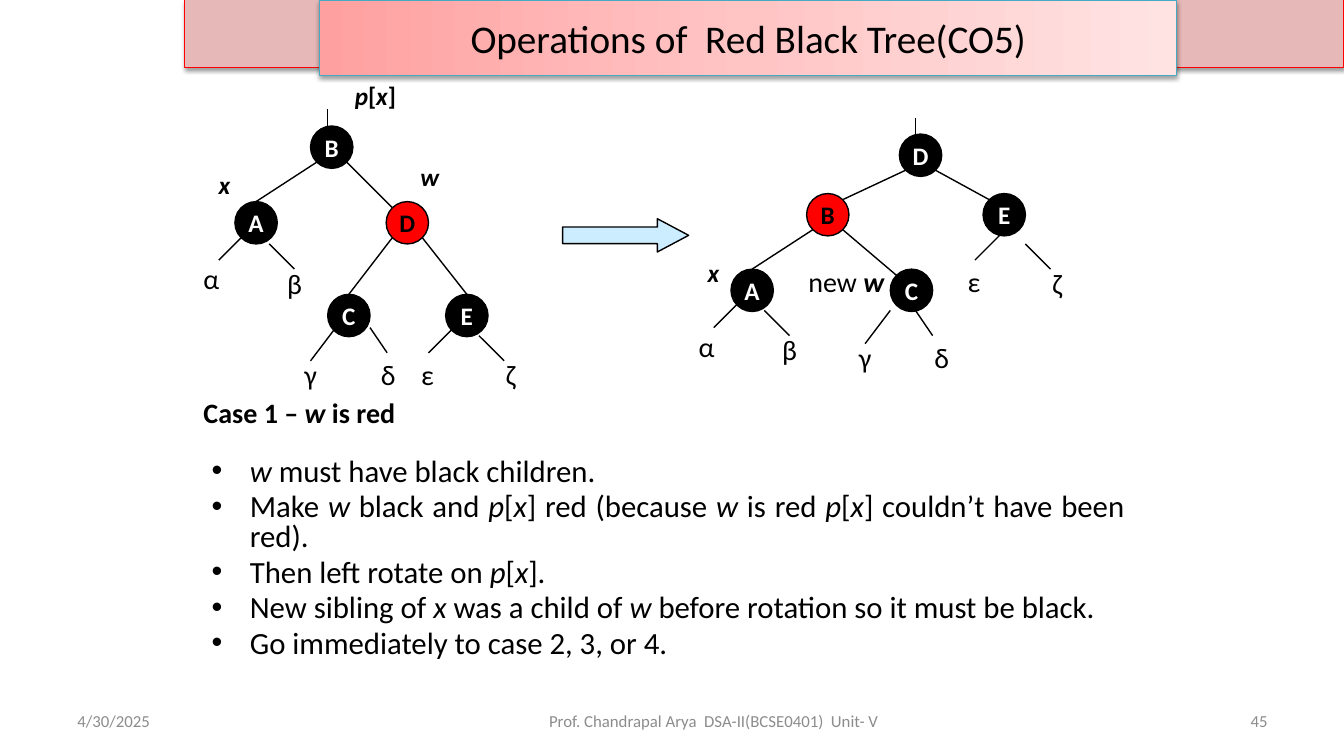
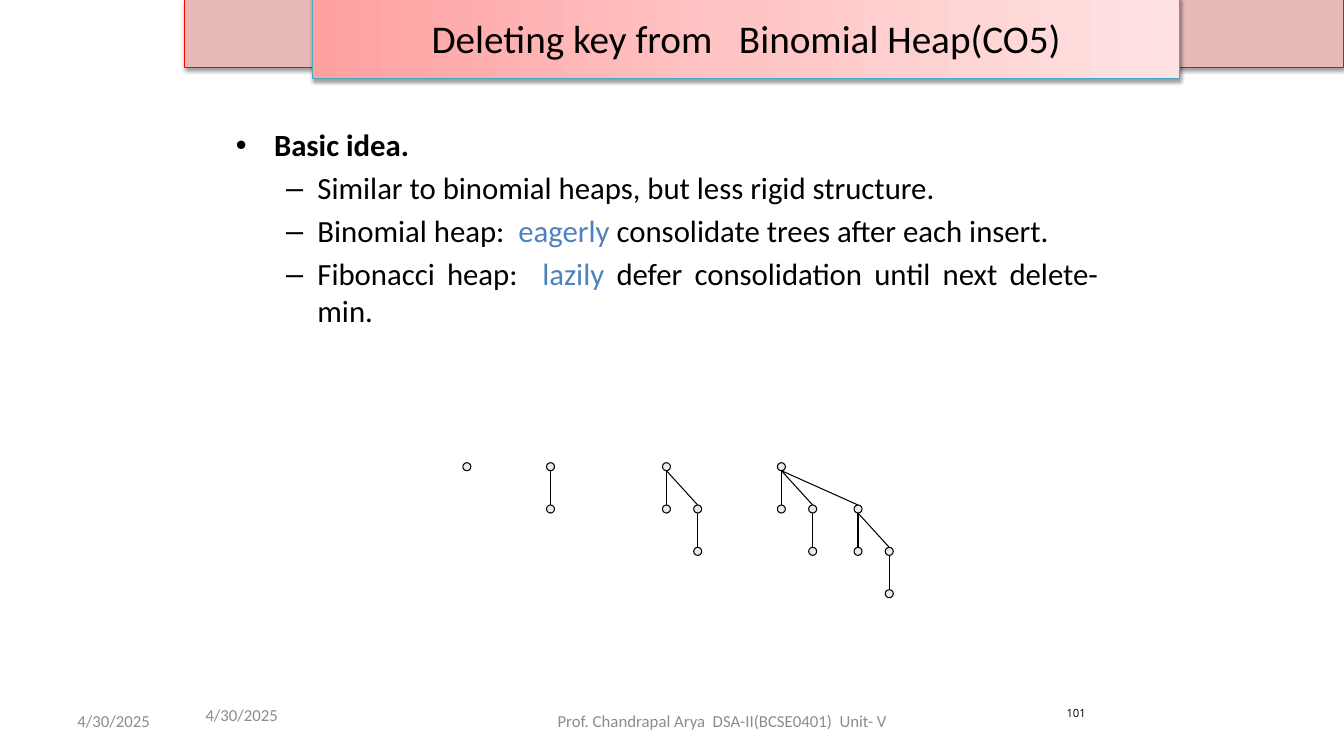
from copy import deepcopy

from lxml.etree import SubElement
from pptx import Presentation
from pptx.dml.color import RGBColor
from pptx.enum.shapes import MSO_CONNECTOR, MSO_SHAPE
from pptx.enum.text import MSO_ANCHOR, MSO_AUTO_SIZE, PP_ALIGN
from pptx.oxml.ns import qn
from pptx.util import Inches, Pt

BLACK = RGBColor(0x00, 0x00, 0x00)
WHITE = RGBColor(0xFF, 0xFF, 0xFF)
RED = RGBColor(0xFF, 0x00, 0x00)
ROSE = RGBColor(0xE6, 0xB9, 0xB8)
TEAL = RGBColor(0x46, 0xAA, 0xC5)
BLUE = RGBColor(0x4F, 0x81, 0xBD)
SKY = RGBColor(0xCC, 0xEC, 0xFF)
CREAM = RGBColor(0xEE, 0xEC, 0xE1)
GREY = RGBColor(0x8C, 0x8C, 0x8C)
FADE = (
    (0, RGBColor(0xFF, 0xA0, 0xA0)),
    (0.5, RGBColor(0xFF, 0xC5, 0xC5)),
    (1, RGBColor(0xFF, 0xE3, 0xE3)),
)

FONT = "Calibri"
DATE = "4/30/2025"
CREDIT = "Prof. Chandrapal Arya  DSA-II(BCSE0401)  Unit- V"
ITALIC = {"italic": True}
STRONG = {"italic": True, "bold": True}

NODE = 0.42
HALF = NODE / 2
EDGE = 0.15
DOT = 0.08
DROP = 0.42
SPREAD = (0, 0.31, 0.76)

LEAVES = {
    "α": (-0.25, 0.25, -0.25, -0.03),
    "β": (0.25, 0.25, -0.17, -0.08),
    "γ": (-0.25, 0.33, -0.16, -0.08),
    "δ": (0.17, 0.25, -0.16, 0),
    "ε": (-0.25, 0.25, -0.17, 0),
    "ζ": (0.25, 0.25, -0.08, -0.08),
}


def write(par, text, size=18, color=BLACK, font=FONT, align=PP_ALIGN.LEFT,
          bold=False, mark=ITALIC):
    par.alignment = align
    for at, part in enumerate(text.split("*")):
        if not part:
            continue
        look = {"bold": bold, "italic": False, "color": color}
        if at % 2:
            look.update(mark)
        run = par.add_run()
        run.text = part
        run.font.name = font
        run.font.size = Pt(size)
        run.font.bold = look["bold"]
        run.font.italic = look["italic"]
        run.font.color.rgb = look["color"]


def add_box(slide, x, y, w, h, wrap=True, anchor=MSO_ANCHOR.TOP):
    box = slide.shapes.add_textbox(Inches(x), Inches(y), Inches(w), Inches(h))
    box.text_frame.word_wrap = wrap
    box.text_frame.vertical_anchor = anchor
    return box.text_frame


def add_label(slide, x, y, w, text, **look):
    frame = add_box(slide, x, y, w, 0.4, wrap=False)
    write(frame.paragraphs[0], text, **look)


def add_note(slide, x, y, w, text, size=12, color=GREY, **look):
    frame = add_box(slide, x, y, w, 0.4, anchor=MSO_ANCHOR.MIDDLE)
    write(frame.paragraphs[0], text, size=size, color=color, **look)


def add_form(slide, kind, x, y, w, h, fill, line=BLACK, width=1):
    form = slide.shapes.add_shape(
        kind, Inches(x), Inches(y), Inches(w), Inches(h))
    form.shadow.inherit = False
    form.fill.solid()
    form.fill.fore_color.rgb = fill
    form.line.color.rgb = line
    form.line.width = Pt(width)
    return form


def add_line(slide, start, end, width=1):
    link = slide.shapes.add_connector(
        MSO_CONNECTOR.STRAIGHT, *(Inches(v) for v in (*start, *end)))
    link.line.color.rgb = BLACK
    link.line.width = Pt(width)
    SubElement(link.element.spPr, qn("a:effectLst"))


def add_shade(form):
    form.shadow.inherit = False
    effect = form.element.spPr.find(qn("a:effectLst"))
    shade = SubElement(effect, qn("a:outerShdw"), blurRad="40000",
                       dist="20000", dir="5400000", rotWithShape="0")
    tint = SubElement(shade, qn("a:srgbClr"), val=str(BLACK))
    SubElement(tint, qn("a:alpha"), val="38000")


def add_fade(form):
    form.fill.gradient()
    form.fill.gradient_angle = 0
    stops = form.element.spPr.find(qn("a:gradFill")).find(qn("a:gsLst"))
    stops.insert(1, deepcopy(stops[0]))
    for stop, (place, color) in zip(form.fill.gradient_stops, FADE):
        stop.position = place
        stop.color.rgb = color


def add_page(deck, text, x, y, w, h):
    slide = deck.slides.add_slide(deck.slide_layouts[5])
    band = add_form(slide, MSO_SHAPE.RECTANGLE, 1.83, 0, 11.5, 0.67,
                    ROSE, RED, 0.75)
    add_shade(band)
    slide.shapes.element.insert(2, band.element)
    title = slide.shapes.title
    title.left, title.top = Inches(x), Inches(y)
    title.width, title.height = Inches(w), Inches(h)
    add_fade(title)
    title.line.color.rgb = TEAL
    title.line.width = Pt(0.75)
    add_shade(title)
    frame = title.text_frame
    frame.auto_size = MSO_AUTO_SIZE.NONE
    frame.vertical_anchor = MSO_ANCHOR.MIDDLE
    write(frame.paragraphs[0], text, size=28, align=PP_ALIGN.CENTER)
    add_note(slide, 0.67, 6.95, 3.11, DATE)
    return slide


def add_list(frame, items, space=1.0, mark=ITALIC):
    for at, (level, text, bold) in enumerate(items):
        par = frame.add_paragraph() if at else frame.paragraphs[0]
        par.level = level
        par.line_spacing = space
        par.space_before = Pt(4.4 if at else 0)
        left, hang, sign = ((0.38, 0.38, "•"), (0.81, 0.31, "–"))[level]
        props = par.element.get_or_add_pPr() if hasattr(par, "element") \
            else par._p.get_or_add_pPr()
        props.set("marL", str(Inches(left)))
        props.set("indent", str(-Inches(hang)))
        SubElement(props, qn("a:buFont"), typeface="Arial")
        SubElement(props, qn("a:buChar"), char=sign)
        write(par, text, size=22, bold=bold, mark=mark,
              align=PP_ALIGN.JUSTIFY)


def add_node(slide, name, x, y, fill):
    form = add_form(slide, MSO_SHAPE.OVAL, x - HALF, y - HALF,
                    NODE, NODE, fill)
    frame = form.text_frame
    frame.word_wrap = False
    frame.vertical_anchor = MSO_ANCHOR.MIDDLE
    write(frame.paragraphs[0], name, bold=True, align=PP_ALIGN.CENTER,
          color=BLACK if fill == RED else WHITE)


def add_tree(slide, nodes, edges, leaves, stem):
    add_line(slide, stem, (stem[0], stem[1] + 0.17))
    for top, low, corner in edges:
        x, y, _ = nodes[top]
        end_x, end_y, _ = nodes[low]
        side = EDGE if end_x > x else -EDGE
        end = (end_x - side, end_y - EDGE) if corner else (end_x, end_y - HALF)
        add_line(slide, (x + side, y + EDGE), end)
    for name, x, y, shift in leaves:
        run, fall, left, up = LEAVES[name]
        end = (x + run, y + fall)
        add_line(slide, (x, y), end)
        add_label(slide, end[0] + left + shift, end[1] + up, 0.34, name,
                  size=20)
    for name, (x, y, fill) in nodes.items():
        add_node(slide, name, x, y, fill)


def add_heap(slide, x, y, order):
    half = DOT / 2
    for rank in range(order):
        low_x, low_y = x + SPREAD[rank], y + DROP
        add_line(slide, (x, y + half), (low_x, low_y - half), 0.75)
        add_heap(slide, low_x, low_y, rank)
    add_form(slide, MSO_SHAPE.OVAL, x - half, y - half, DOT, DOT,
             CREAM, width=0.75)


def add_case(deck):
    slide = add_page(deck, "Operations of  Red Black Tree(CO5)",
                     3.17, 0, 8.5, 0.75)
    add_tree(
        slide,
        {"B": (3.29, 1.46, BLACK), "A": (2.54, 2.21, BLACK),
         "D": (4.04, 2.21, RED), "C": (3.46, 3.13, BLACK),
         "E": (4.63, 3.13, BLACK)},
        [("B", "A", False), ("B", "D", True),
         ("D", "C", False), ("D", "E", False)],
        [("α", 2.42, 2.33, 0), ("β", 2.67, 2.42, 0), ("γ", 3.33, 3.25, 0),
         ("δ", 3.67, 3.25, 0), ("ε", 4.5, 3.25, 0), ("ζ", 4.75, 3.33, 0)],
        (3.25, 1.08))
    add_tree(
        slide,
        {"D": (9.13, 1.54, BLACK), "B": (8.21, 2.13, RED),
         "E": (9.96, 2.13, BLACK), "A": (7.46, 2.88, BLACK),
         "C": (9.04, 2.88, BLACK)},
        [("D", "B", True), ("D", "E", True),
         ("B", "A", False), ("B", "C", True)],
        [("α", 7.33, 3, 0), ("β", 7.58, 3.08, 0), ("γ", 8.83, 3.08, 0),
         ("δ", 9.08, 3.08, 0.08), ("ε", 9.92, 2.33, 0),
         ("ζ", 10.17, 2.42, 0)],
        (9.08, 1.17))
    for text, x, y, w in (("*p*[*x*]", 3.42, 0.75, 0.62),
                          ("*x*", 2.07, 1.63, 0.32),
                          ("*w*", 4.07, 1.55, 0.39),
                          ("*x*", 6.92, 2.5, 0.32)):
        add_label(slide, x, y, w, text, bold=True)
    add_label(slide, 7.92, 2.58, 1, "new *w*", size=20, mark=STRONG)
    arrow = add_form(slide, MSO_SHAPE.RIGHT_ARROW, 5.58, 2.17, 1.25, 0.33, SKY)
    arrow.adjustments[1] = 0.94
    case = add_box(slide, 1.92, 3.87, 10, 0.77)
    write(case.paragraphs[0], "Case 1 – *w* is red", size=20, bold=True)
    steps = (
        "*w *must have black children.",
        "Make *w *black and *p*[*x*] red (because *w* is red *p*[*x*] "
        "couldn’t have been red).",
        "Then left rotate on *p*[*x*].",
        "New sibling of *x *was a child of *w *before rotation so it must "
        "be black.",
        "Go immediately to case 2, 3, or 4.",
    )
    add_list(add_box(slide, 2, 4.5, 9.25, 2.42),
             [(0, step, False) for step in steps], space=0.8)
    add_note(slide, 9.56, 6.95, 3.11, "45", align=PP_ALIGN.RIGHT)
    add_note(slide, 5.08, 6.95, 4, CREDIT, align=PP_ALIGN.CENTER)


def add_idea(deck):
    slide = add_page(deck, "Deleting key from   Binomial Heap(CO5)",
                     3.1, -0.02, 8.6, 0.8)
    add_list(add_box(slide, 2.24, 1.2, 8.75, 2.2), [
        (0, "Basic idea.", True),
        (1, "Similar to binomial heaps, but less rigid structure.", False),
        (1, "Binomial heap:  *eagerly* consolidate trees after each insert.",
         False),
        (1, "Fibonacci heap:  *lazily* defer consolidation until next "
         "delete-min.", False),
    ], mark={"color": BLUE})
    for order, x in enumerate((4.63, 5.46, 6.61, 7.75)):
        add_heap(slide, x, 4.63, order)
    add_note(slide, 10.48, 6.87, 0.5, "101", size=8, color=BLACK,
             font="Open Sans")
    add_note(slide, 1.94, 6.89, 2.33, DATE)
    add_note(slide, 5.08, 6.95, 4.17, CREDIT, align=PP_ALIGN.CENTER)


def main():
    deck = Presentation()
    deck.slide_width, deck.slide_height = Inches(13.33), Inches(7.5)
    add_case(deck)
    add_idea(deck)
    deck.save("out.pptx")


if __name__ == "__main__":
    main()
